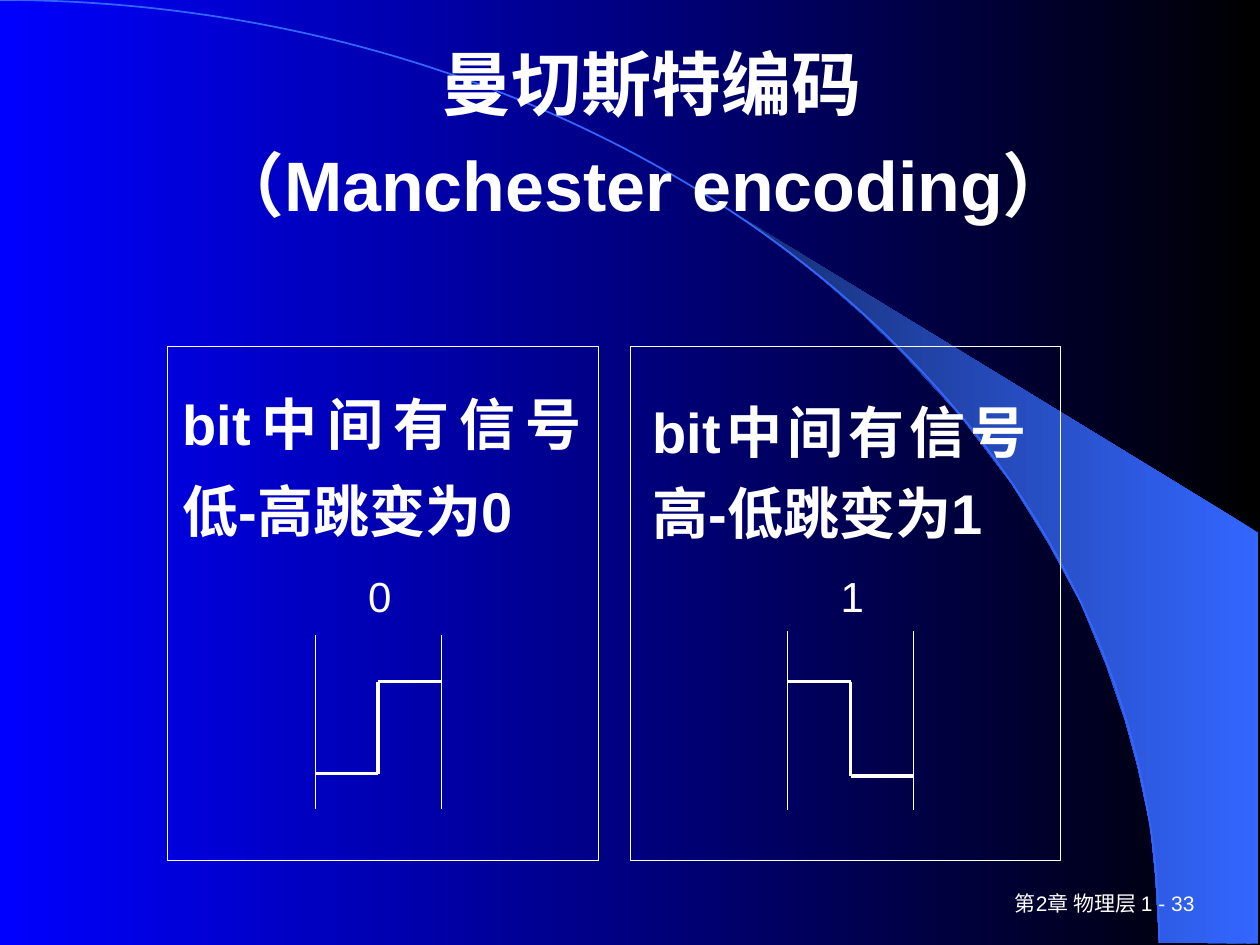
import lxml.etree
import pptx
import pptx.dml.color
import pptx.enum.shapes
import pptx.enum.text
import pptx.oxml.ns
import pptx.util

EMU_PER_PX = 9144  # 100 px to the inch
FONT = "Arial"
COLORS = {"night": "000000", "blue": "0000FF", "text": "FFFFFF",
          "sweep": "3366FF", "sweep_dark": "172F75"}
ALIGN = pptx.enum.text.PP_ALIGN
ANCHOR = pptx.enum.text.MSO_ANCHOR
SHAPE = pptx.enum.shapes.MSO_SHAPE
WEDGE = [(920, 748), (999, 749), (999, 423), (589, 173), (624, 199),
         (653, 222), (685, 250), (716, 280), (762, 330), (803, 384),
         (832, 431), (858, 479), (878, 528), (893, 572), (903, 609),
         (913, 656), (917, 696)]


def px(length):
    return pptx.util.Emu(length * EMU_PER_PX)


def rgb(name):
    return pptx.dml.color.RGBColor.from_string(COLORS[name])


class SlideBuilder:
    """Holds the style and the slide being built."""

    def __init__(self, slide):
        self.slide = slide
        self.shapes = slide.shapes

    def gradient(self, fill, first, last):
        """Runs from first at the right to last at the left."""
        fill.gradient()
        fill.gradient_angle = 180
        for stop, name in zip(fill.gradient_stops, (first, last)):
            stop.color.rgb = rgb(name)

    def outline(self, shape, color, width):
        shape.line.color.rgb = rgb(color)
        shape.line.width = pptx.util.Pt(width)

    def outlined_shape(self, kind, box, color, width):
        shape = self.shapes.add_shape(kind, *map(px, box))
        shape.shadow.inherit = False
        shape.fill.background()
        self.outline(shape, color, width)

    def wedge(self, points):
        builder = self.shapes.build_freeform(*points[0], scale=EMU_PER_PX)
        builder.add_line_segments(points[1:], close=True)
        shape = builder.convert_to_shape()
        shape.shadow.inherit = False
        self.gradient(shape.fill, "sweep", "sweep_dark")
        shape.line.fill.background()

    def line(self, container, start, end, width):
        connector = container.shapes.add_connector(
            pptx.enum.shapes.MSO_CONNECTOR.STRAIGHT, *map(px, start + end))
        self.outline(connector, "text", width)
        lxml.etree.SubElement(connector._element.spPr,
                              pptx.oxml.ns.qn("a:effectLst"))

    def set_text(self, shape, lines, size, align, anchor=ANCHOR.MIDDLE,
                 bold=False, spacing=1.0, wrap=True):
        frame = shape.text_frame
        frame.word_wrap = wrap
        frame.auto_size = pptx.enum.text.MSO_AUTO_SIZE.NONE
        frame.vertical_anchor = anchor
        paragraph = frame.paragraphs[0]
        paragraph.alignment = align
        paragraph.line_spacing = spacing
        paragraph.space_before = pptx.util.Pt(0)
        for number, line in enumerate(lines):
            if number:
                paragraph.add_line_break()
            run = paragraph.add_run()
            run.text = line
            run.font.name = FONT
            run.font.size = pptx.util.Pt(size)
            run.font.bold = bold
            run.font.color.rgb = rgb("text")
        return paragraph

    def text(self, container, box, line, size, align, **style):
        shape = container.shapes.add_textbox(*map(px, box))
        self.set_text(shape, [line], size, align, **style)

    def placeholder(self, shape, box, lines, size, align, **style):
        """Fills a placeholder and brings it in front of the background."""
        shape.left, shape.top, shape.width, shape.height = map(px, box)
        self.shapes._spTree.append(shape._element)
        return self.set_text(shape, lines, size, align, **style)

    def remove_bullet(self, paragraph):
        properties = paragraph._p.get_or_add_pPr()
        properties.set("marL", "0")
        properties.set("indent", "0")
        lxml.etree.SubElement(properties, pptx.oxml.ns.qn("a:buNone"))

    def signal(self, bit, left, levels, edges):
        """Draws one bit: two edge lines and a level change in the middle."""
        group = self.shapes.add_group_shape()
        middle, right = left + 50, left + 100
        before, after = levels
        for x in (left, right):
            self.line(group, (x, edges[0]), (x, edges[1]), 0.5)
        self.line(group, (left, before), (middle, before), 2)
        self.line(group, (middle, before), (middle, after), 2)
        self.line(group, (middle, after), (right, after), 2)
        self.text(group, (left + 25, 442, 53, 62), bit, 24, ALIGN.CENTER,
                  wrap=False)


def main():
    presentation = pptx.Presentation()
    presentation.slide_width, presentation.slide_height = px(1000), px(750)
    slide = presentation.slides.add_slide(presentation.slide_layouts[1])
    builder = SlideBuilder(slide)

    builder.gradient(slide.background.fill, "night", "blue")
    builder.wedge(WEDGE)
    builder.outlined_shape(SHAPE.ARC, (-920, 0, 1840, 1497), "sweep", 1)
    builder.text(slide, (750, 700, 208, 33), "第2章 物理层 1 - 33", 12,
                 ALIGN.RIGHT)

    builder.placeholder(slide.shapes.title, (92, 21, 850, 156),
                        ["曼切斯特编码", "（Manchester encoding） "], 40,
                        ALIGN.CENTER, bold=True, spacing=1.2)
    rule = builder.placeholder(slide.placeholders[1], (135, 288, 337, 199),
                               ["bit中间有信号低-高跳变为0"], 32,
                               ALIGN.JUSTIFY, anchor=ANCHOR.TOP, bold=True,
                               spacing=1.3)
    builder.remove_bullet(rule)
    builder.signal("0", 250, (614, 541), (504, 642))
    builder.signal("1", 625, (541, 616), (501, 643))
    builder.text(slide, (508, 300, 317, 158), "bit中间有信号高-低跳变为1",
                 32, ALIGN.JUSTIFY, anchor=ANCHOR.TOP, bold=True, spacing=1.2)
    for left in (133, 500):
        builder.outlined_shape(SHAPE.RECTANGLE, (left, 275, 342, 408),
                               "text", 0.5)

    presentation.save("out.pptx")


if __name__ == "__main__":
    main()
